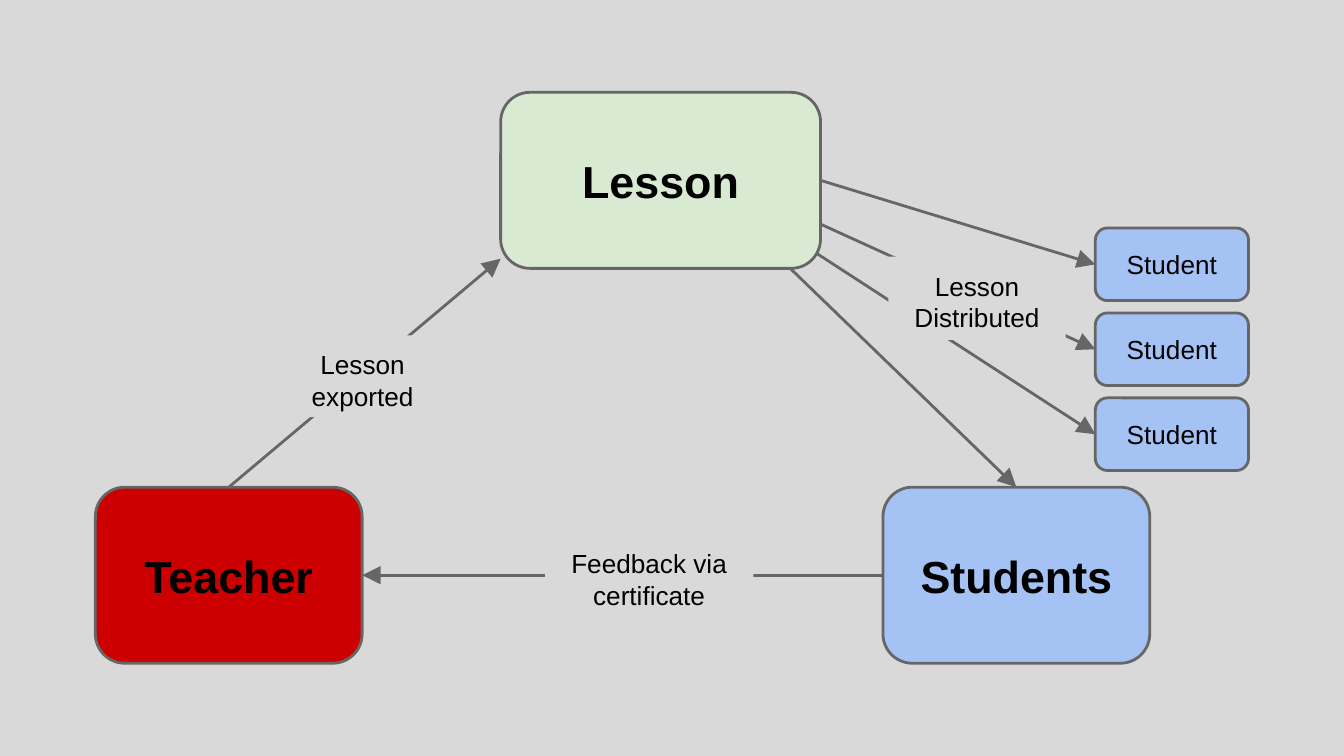
from lxml.etree import SubElement
from pptx import Presentation
from pptx.dml.color import RGBColor
from pptx.enum.shapes import MSO_CONNECTOR, MSO_SHAPE
from pptx.enum.text import MSO_ANCHOR, PP_ALIGN
from pptx.oxml.ns import qn
from pptx.util import Inches, Pt

COLORS = {
    "background": "D9D9D9",
    "line": "666666",
    "text": "000000",
    "teacher": "CC0000",
    "student": "A4C2F4",
    "lesson": "D9EAD3",
}
TOP, LEFT, RIGHT = 0, 1, 3  # connection sites


def rgb(name):
    return RGBColor.from_string(COLORS[name])


def grid(*cells):
    """Turn columns and rows of a tenth of an inch into lengths."""
    return [Inches(c / 10) for c in cells]


class Diagram:
    font = "Arial"
    line_width = Pt(1.5)

    def __init__(self, prs):
        self.s = prs.slides.add_slide(prs.slide_layouts[6])
        fill = self.s.background.fill
        fill.solid()
        fill.fore_color.rgb = rgb("background")

    def style_line(self, line):
        line.color.rgb = rgb("line")
        line.width = self.line_width

    def shape(self, kind, at, text, color, size, bold, anchor):
        sp = self.s.shapes.add_shape(kind, *grid(*at))
        sp.shadow.inherit = False
        sp.fill.solid()
        sp.fill.fore_color.rgb = rgb(color)
        tf = sp.text_frame
        tf.word_wrap = True
        tf.vertical_anchor = anchor
        tf.margin_left = tf.margin_right = tf.margin_top = tf.margin_bottom = Inches(0.1)
        p = tf.paragraphs[0]
        p.alignment = PP_ALIGN.CENTER
        r = p.add_run()
        r.text = text
        r.font.name, r.font.size, r.font.bold = self.font, Pt(size), bold
        r.font.color.rgb = rgb("text")
        return sp

    def box(self, at, text, color, size=24, bold=True):
        sp = self.shape(MSO_SHAPE.ROUNDED_RECTANGLE, at, text, color, size, bold, MSO_ANCHOR.MIDDLE)
        self.style_line(sp.line)
        return sp

    def label(self, at, text):
        """Text on a background-coloured patch that interrupts the arrows."""
        sp = self.shape(MSO_SHAPE.RECTANGLE, at, text, "background", 14, False, MSO_ANCHOR.TOP)
        sp.line.fill.background()

    def arrow(self, start, end, source=None, target=None):
        """source and target are optional (shape, connection site) pairs."""
        c = self.s.shapes.add_connector(MSO_CONNECTOR.STRAIGHT, *grid(*start, *end))
        self.style_line(c.line)
        line = c._element.spPr.find(qn("a:ln"))
        SubElement(line, qn("a:tailEnd"), type="triangle", w="lg", len="lg")
        SubElement(c._element.spPr, qn("a:effectLst"))
        if source:
            c.begin_connect(*source)
        if target:
            c.end_connect(*target)
        return c


def main():
    prs = Presentation()
    prs.slide_width, prs.slide_height = grid(100, 56.25)
    d = Diagram(prs)

    teacher = d.box((7.1, 36.25, 19.85, 13.1), "Teacher", "teacher")
    students = d.box((65.7, 36.25, 19.85, 13.1), "Students", "student")
    pupils = [
        d.box((81.5, 16.97 + 6.32 * i, 11.4, 5.4), "Student", "student", size=14, bold=False)
        for i in range(3)
    ]

    # Arrows lie beneath the lesson box, which hides their inner ends.
    lesson_starts = [(61.1, 13.4), (61.1, 16.7), (59.6, 18.1)]
    distribution = [
        d.arrow(start, (81.5, 19.67 + 6.32 * i), target=(pupil, LEFT))
        for i, (start, pupil) in enumerate(zip(lesson_starts, pupils))
    ]
    d.arrow((65.7, 42.8), (26.95, 42.8), (students, LEFT), (teacher, RIGHT))
    d.arrow((17, 36.25), (37.25, 19.25), source=(teacher, TOP))
    d.arrow((57.9, 19.1), (75.6, 36.25), target=(students, TOP))

    lesson = d.box((37.25, 6.87, 23.8, 13.1), "Lesson", "lesson")
    distribution[0].begin_connect(lesson, RIGHT)

    d.label((22.03, 24.95, 9.9, 6.1), "Lesson exported")
    d.label((40.55, 39.75, 15.5, 7.1), "Feedback via certificate")
    d.label((66.1, 19.1, 13.2, 6.2), "Lesson Distributed")

    prs.save("out.pptx")


if __name__ == "__main__":
    main()
